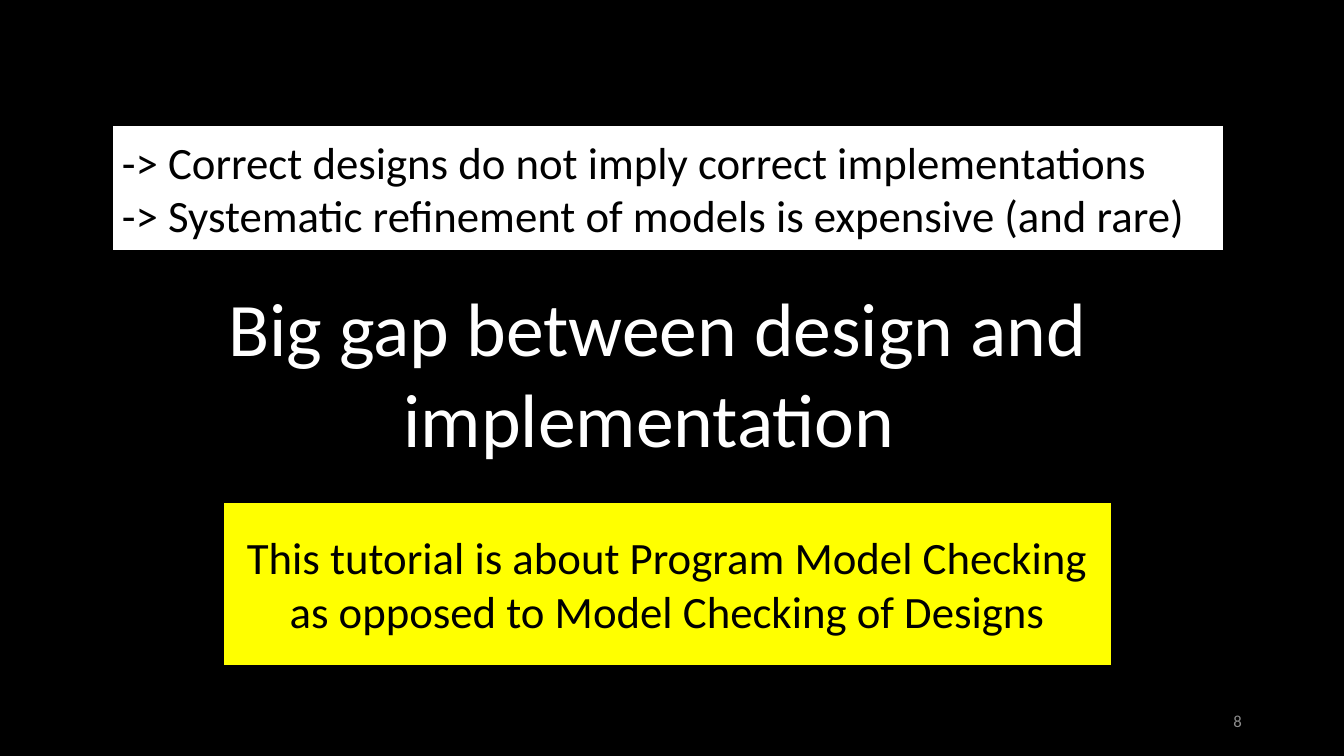
from pptx import Presentation
from pptx.dml.color import RGBColor
from pptx.enum import shapes, text
from pptx.util import Pt

LEFT, CENTER, RIGHT = text.PP_ALIGN.LEFT, text.PP_ALIGN.CENTER, text.PP_ALIGN.RIGHT
TOP, MIDDLE = text.MSO_ANCHOR.TOP, text.MSO_ANCHOR.MIDDLE


def color(hex_value):
    return RGBColor.from_string(hex_value)


def write(frame, lines, size, hex_value, align, anchor):
    """Fill a text frame with one paragraph per line, all formatted alike."""
    frame.text = "\n".join(lines)
    frame.word_wrap = True
    frame.auto_size = text.MSO_AUTO_SIZE.NONE
    frame.vertical_anchor = anchor
    for paragraph in frame.paragraphs:
        paragraph.alignment = align
        font_format = {"name": "Calibri", "size": Pt(size), "bold": False}
        for attribute, value in font_format.items():
            setattr(paragraph.font, attribute, value)
        paragraph.font.color.rgb = color(hex_value)


deck = Presentation()
deck.slide_width, deck.slide_height = Pt(960), Pt(540)
slide = deck.slides.add_slide(deck.slide_layouts[5])
slide.background.fill.solid()
slide.background.fill.fore_color.rgb = color("000000")

# Central statement
statement = slide.shapes.title
place = {"left": 0, "top": 197.3, "width": 939.6, "height": 138.2}
for attribute, value in place.items():
    setattr(statement, attribute, Pt(value))
write(statement.text_frame, ["Big gap between design and implementation "],
      54, "FFFFFF", CENTER, TOP)

# Reasons above the statement, tutorial scope below it
panels = [
    ((80, 89.3, 794, 90), "FFFFFF", LEFT,
     ["-> Correct designs do not imply correct implementations",
      "-> Systematic refinement of models is expensive (and rare)"]),
    ((159.2, 358.6, 635, 116.6), "FFFF00", CENTER,
     ["This tutorial is about Program Model Checking as opposed to "
      "Model Checking of Designs"]),
]
for box, background, align, lines in panels:
    panel = slide.shapes.add_shape(shapes.MSO_SHAPE.RECTANGLE, *map(Pt, box))
    panel.shadow.inherit = False
    panel.fill.solid()
    panel.fill.fore_color.rgb = color(background)
    panel.line.color.rgb = color("000000")
    panel.line.width = Pt(1)
    write(panel.text_frame, lines, 32, "000000", align, MIDDLE)

# Page number
page_number = slide.shapes.add_textbox(*map(Pt, (678.2, 500.4, 216, 28.8)))
write(page_number.text_frame, ["8"], 12, "8C8C8C", RIGHT, MIDDLE)

deck.save("out.pptx")
